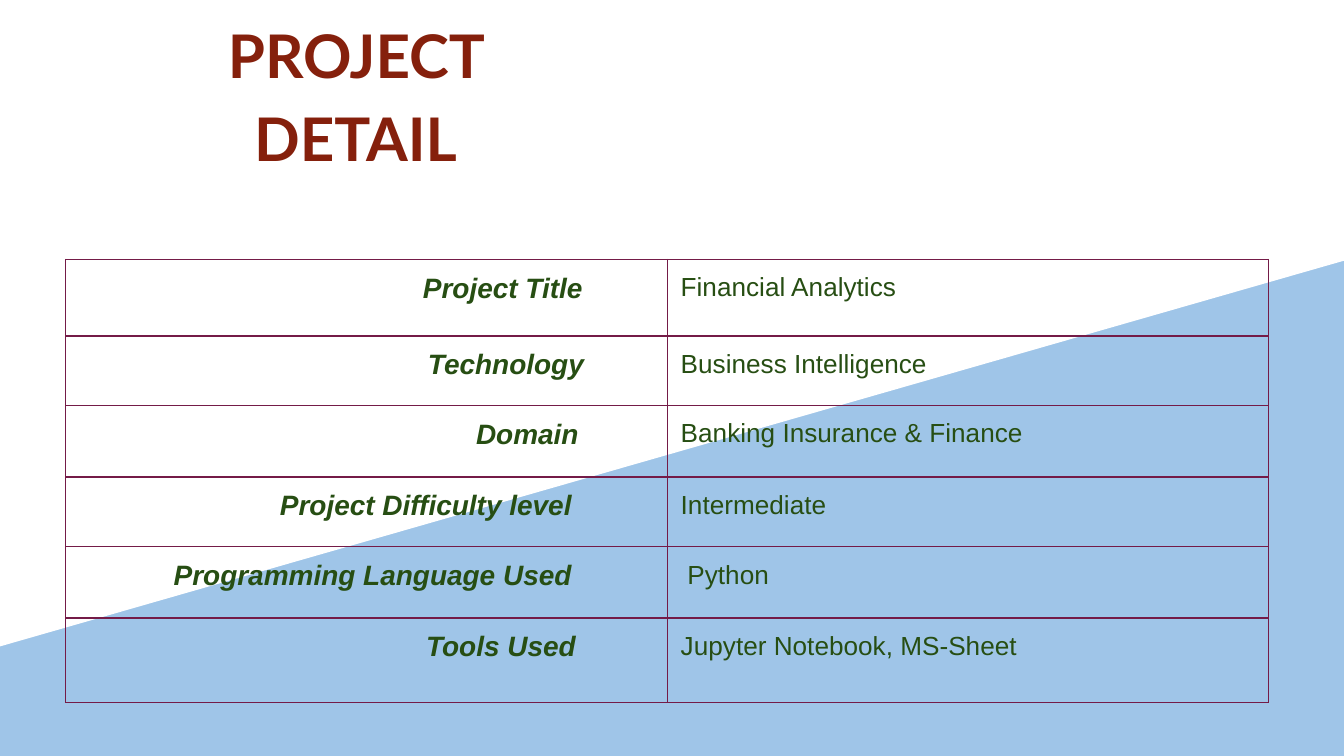
import pptx
import pptx.dml.color
import pptx.enum.text
import pptx.oxml
import pptx.oxml.ns
import pptx.util
from pptx.util import Inches

COLORS = {
    "sky": "9FC5E8",
    "white": "FFFFFF",
    "title": "85200C",
    "text": "274E13",
    "border": "741B47",
}
ALIGN = pptx.enum.text.PP_ALIGN
ANCHOR = pptx.enum.text.MSO_ANCHOR

# Label, distance of the label from the column's right edge, value, value's left margin
DETAILS = [
    ("Project Title", 0.63, "Financial Analytics", 0.1),
    ("Technology", 0.62, "Business Intelligence", 0.1),
    ("Domain", 0.66, "Banking Insurance & Finance", 0.1),
    ("Project Difficulty level", 0.71, "Intermediate", 0.1),
    ("Programming Language Used", 0.71, "Python", 0.15),
    ("Tools Used", 0.68, "Jupyter Notebook, MS-Sheet", 0.1),
]
ROW_HEIGHTS = [0.57, 0.52, 0.53, 0.52, 0.53, 0.63]


def rgb(name):
    return pptx.dml.color.RGBColor.from_string(COLORS[name])


def write_text(tf, text, size=14, font="Arial", color="text", bold=False,
               italic=False, align=ALIGN.LEFT, spacing=None):
    p = tf.paragraphs[0]
    p.alignment = align
    if spacing:
        p.line_spacing = spacing
    r = p.add_run()
    r.text = text
    r.font.size = pptx.util.Pt(size)
    r.font.name = font
    r.font.bold = bold
    r.font.italic = italic
    r.font.color.rgb = rgb(color)


def add_background(s):
    s.background.fill.solid()
    s.background.fill.fore_color.rgb = rgb("sky")
    # White area with a slanted lower edge
    builder = s.shapes.build_freeform(0, 0, scale=1)
    corners = [(10, 0), (10, 1.94), (0, 4.81)]
    builder.add_line_segments([(Inches(x), Inches(y)) for x, y in corners], close=True)
    sp = builder.convert_to_shape()
    sp.shadow.inherit = False
    sp.fill.solid()
    sp.fill.fore_color.rgb = rgb("white")
    sp.line.fill.background()
    # Keep it behind the title
    s.shapes.element.insert(2, sp.element)


def format_title(s, text):
    sp = s.shapes.title
    sp.left, sp.top = Inches(0.79), Inches(0.11)
    sp.width, sp.height = Inches(3.8), Inches(1.44)
    tf = sp.text_frame
    tf.word_wrap = False
    tf.auto_size = pptx.enum.text.MSO_AUTO_SIZE.NONE
    tf.vertical_anchor = ANCHOR.BOTTOM
    tf.margin_left = tf.margin_top = Inches(0.1)
    tf.margin_right = Inches(0.19)
    tf.margin_bottom = Inches(0.26)
    write_text(tf, text, size=32.2, font="Lato", color="title", bold=True,
               align=ALIGN.CENTER, spacing=1.15)


def set_borders(cell, color, width=0.75):
    tc_pr = cell._tc.get_or_add_tcPr()
    for i, side in enumerate(("lnL", "lnR", "lnT", "lnB")):
        ln = pptx.oxml.parse_xml(
            f'<a:{side} {pptx.oxml.ns.nsdecls("a")} w="{pptx.util.Pt(width)}">'
            f'<a:solidFill><a:srgbClr val="{COLORS[color]}"/></a:solidFill></a:{side}>')
        tc_pr.insert(i, ln)


def fill_cell(cell, text, left=0.1, right=0.1, **text_format):
    cell.fill.background()
    set_borders(cell, "border")
    cell.vertical_anchor = ANCHOR.TOP
    cell.margin_left, cell.margin_right = Inches(left), Inches(right)
    cell.margin_top = cell.margin_bottom = Inches(0.1)
    write_text(cell.text_frame, text, **text_format)


def add_details_table(s):
    frame = s.shapes.add_table(len(DETAILS), 2, Inches(0.49), Inches(1.93),
                               Inches(8.95), Inches(sum(ROW_HEIGHTS)))
    table = frame.table
    table.first_row = table.horz_banding = False
    for row, height in zip(table.rows, ROW_HEIGHTS):
        row.height = Inches(height)
    for i, (label, right, value, left) in enumerate(DETAILS):
        fill_cell(table.cell(i, 0), label, right=right, size=15, bold=True,
                  italic=True, align=ALIGN.RIGHT)
        fill_cell(table.cell(i, 1), value, left=left)


def main():
    prs = pptx.Presentation()
    # Widescreen, 16:9
    prs.slide_width, prs.slide_height = Inches(10), Inches(10 * 9 / 16)
    s = prs.slides.add_slide(prs.slide_layouts[5])
    add_background(s)
    format_title(s, "PROJECT DETAIL")
    add_details_table(s)
    prs.save("out.pptx")


if __name__ == "__main__":
    main()
